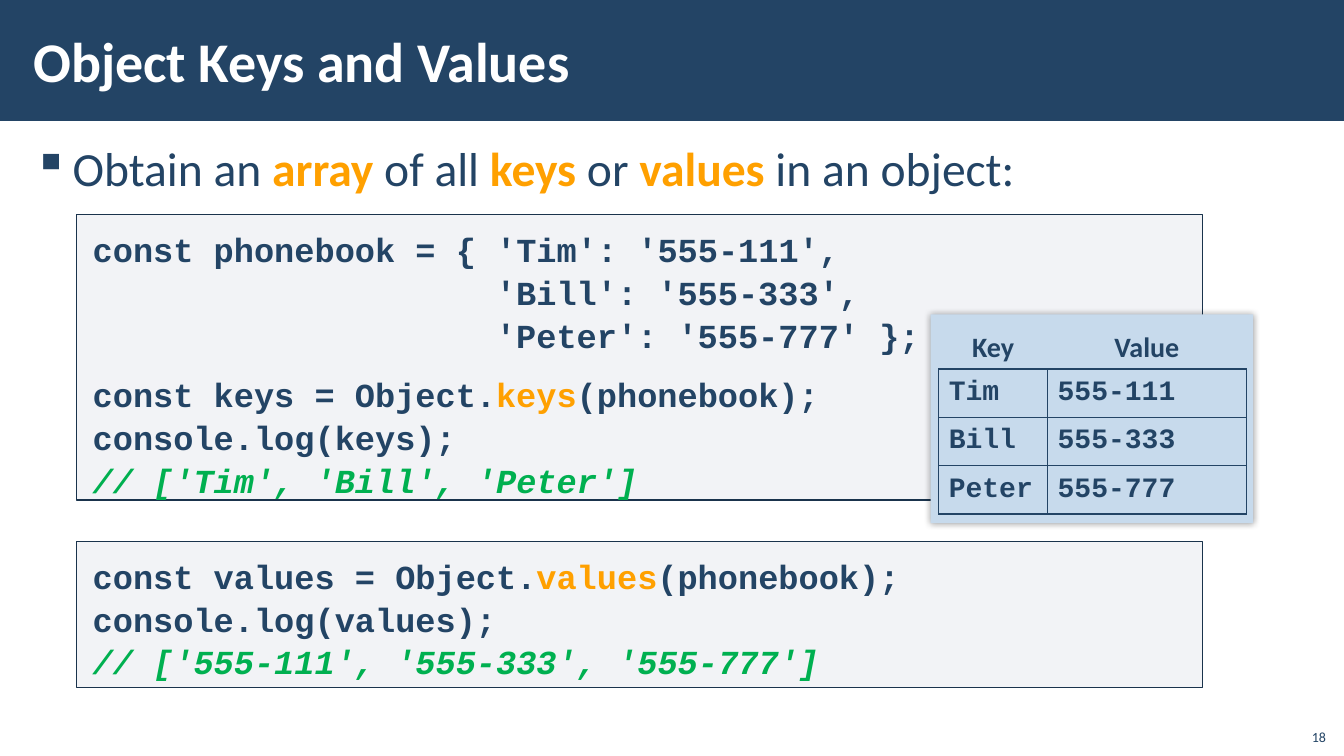
from lxml import etree
from pptx import Presentation
from pptx.dml.color import RGBColor
from pptx.enum.shapes import MSO_SHAPE
from pptx.enum.text import MSO_ANCHOR, PP_ALIGN
from pptx.oxml import parse_xml
from pptx.oxml.ns import nsdecls, qn
from pptx.util import Inches, Pt

RECTANGLE = MSO_SHAPE.RECTANGLE
TOP, MIDDLE, BOTTOM = MSO_ANCHOR.TOP, MSO_ANCHOR.MIDDLE, MSO_ANCHOR.BOTTOM
LEFT, CENTER, RIGHT = PP_ALIGN.LEFT, PP_ALIGN.CENTER, PP_ALIGN.RIGHT

NAVY = RGBColor(0x23, 0x44, 0x65)
DARK_NAVY = RGBColor(0x1A, 0x33, 0x4C)
ORANGE = RGBColor(0xFF, 0xA0, 0x00)
GREEN = RGBColor(0x00, 0xB0, 0x50)
WHITE = RGBColor(0xFF, 0xFF, 0xFF)
CODE_GRAY = RGBColor(0xAD, 0xB4, 0xC3)
PALE_BLUE = RGBColor(0xC7, 0xDA, 0xEC)

BODY_FONT, CODE_FONT = "Calibri", "Courier New"
CODE_INDENT = Inches(4)  # twenty characters of 24 pt code

PHONEBOOK = [("Tim", "555-111"), ("Bill", "555-333"), ("Peter", "555-777")]

# Each code line: indent, space before in points, runs of (text, colour)
KEYS_CODE = [
    (0, 0, [("const phonebook = { 'Tim': '555-111',", NAVY)]),
    (CODE_INDENT, 0, [("'Bill': '555-333',", NAVY)]),
    (CODE_INDENT, 0, [("'Peter': '555-777' };", NAVY)]),
    (0, 12, [("const keys = Object.", NAVY), ("keys", ORANGE),
             ("(phonebook);", NAVY)]),
    (0, 0, [("console.log(keys);", NAVY)]),
    (0, 0, [("// ['Tim', 'Bill', 'Peter']", GREEN)]),
]
VALUES_CODE = [
    (0, 0, [("const values = Object.", NAVY), ("values", ORANGE),
            ("(phonebook);", NAVY)]),
    (0, 0, [("console.log(values);", NAVY)]),
    (0, 0, [("// ['555-111', '555-333', '555-777']", GREEN)]),
]


def add_run(paragraph, text, size, color, font=BODY_FONT, bold=False, italic=False):
    run = paragraph.add_run()
    run.text = text
    run.font.name, run.font.size = font, Pt(size)
    run.font.bold, run.font.italic = bold, italic
    run.font.color.rgb = color


def set_frame(frame, anchor, side, edge):
    frame.word_wrap = True
    frame.vertical_anchor = anchor
    frame.margin_left = frame.margin_right = Inches(side)
    frame.margin_top = frame.margin_bottom = Inches(edge)


def add_text(slide, box, text, size, color, bold=False, align=LEFT,
             anchor=TOP, side=0.1, edge=0.05):
    frame = slide.shapes.add_textbox(*map(Inches, box)).text_frame
    set_frame(frame, anchor, side, edge)
    paragraph = frame.paragraphs[0]
    paragraph.alignment = align
    add_run(paragraph, text, size, color, bold=bold)


def add_panel(slide, box, fill):
    panel = slide.shapes.add_shape(RECTANGLE, *map(Inches, box))
    panel.shadow.inherit = False
    panel.fill.solid()
    panel.fill.fore_color.rgb = fill
    panel.line.fill.background()
    return panel


def add_bullet(slide, box, parts):
    frame = slide.shapes.add_textbox(*map(Inches, box)).text_frame
    set_frame(frame, TOP, 0.12, 0.04)
    paragraph = frame.paragraphs[0]
    paragraph.line_spacing = 1.05
    paragraph.space_before = paragraph.space_after = Pt(6)
    properties = paragraph._p.get_or_add_pPr()
    properties.set("marL", str(Inches(0.39)))
    properties.set("indent", str(-Inches(0.39)))
    etree.SubElement(properties, qn("a:buChar")).set("char", "▪")
    for text, color in parts:
        add_run(paragraph, text, 34, color, bold=color == ORANGE)


def add_code(slide, box, lines):
    panel = add_panel(slide, box, CODE_GRAY)
    fill_color = panel._element.spPr.find(qn("a:solidFill"))[0]
    etree.SubElement(fill_color, qn("a:alpha")).set("val", "15000")
    panel.line.color.rgb = DARK_NAVY
    panel.line.width = Pt(1)
    frame = panel.text_frame
    set_frame(frame, TOP, 0.16, 0.12)
    for number, (indent, before, parts) in enumerate(lines):
        paragraph = frame.add_paragraph() if number else frame.paragraphs[0]
        paragraph.alignment = LEFT
        paragraph.line_spacing = 1.06
        paragraph.space_before = Pt(before)
        if indent:
            paragraph._p.get_or_add_pPr().set("marL", str(indent))
        for text, color in parts:
            add_run(paragraph, text, 24, color, CODE_FONT, True, color == GREEN)


def add_shadow(panel):
    effects = panel._element.spPr.find(qn("a:effectLst"))
    effects.append(parse_xml(
        f'<a:outerShdw {nsdecls("a")} blurRad="{Pt(5)}" dist="0" dir="0">'
        '<a:srgbClr val="000000"><a:alpha val="40000"/></a:srgbClr></a:outerShdw>'))


def add_borders(cell):
    properties = cell._tc.get_or_add_tcPr()
    for position, side in enumerate(("lnL", "lnR", "lnT", "lnB")):
        properties.insert(position, parse_xml(
            f'<a:{side} {nsdecls("a")} w="{Pt(1)}"><a:solidFill>'
            f'<a:srgbClr val="{NAVY}"/></a:solidFill></a:{side}>'))


def add_phonebook(slide, left, top, widths, row_height):
    frame = slide.shapes.add_table(
        len(PHONEBOOK), len(widths), Inches(left), Inches(top),
        Inches(sum(widths)), Inches(row_height * len(PHONEBOOK)))
    table = frame.table
    table.first_row = table.horz_banding = False
    for column, width in zip(table.columns, widths):
        column.width = Inches(width)
    for row, entry in zip(table.rows, PHONEBOOK):
        row.height = Inches(row_height)
        for cell, text in zip(row.cells, entry):
            cell.fill.solid()
            cell.fill.fore_color.rgb = PALE_BLUE
            cell.vertical_anchor = MIDDLE
            add_run(cell.text_frame.paragraphs[0], text, 20, NAVY, CODE_FONT, True)
            add_borders(cell)


def main():
    deck = Presentation()
    deck.slide_width, deck.slide_height = Inches(13.33), Inches(7.5)
    slide = deck.slides.add_slide(deck.slide_layouts[6])

    # Title band and slide number
    add_panel(slide, (0, 0, 13.33, 1.2), NAVY)
    add_text(slide, (0.21, 0.11, 10.63, 0.97), "Object Keys and Values", 40,
             WHITE, bold=True, anchor=MIDDLE, side=0.12, edge=0.04)
    add_text(slide, (12.85, 7.12, 0.4, 0.32), "18", 10, NAVY,
             align=RIGHT, anchor=BOTTOM)

    # Lead sentence
    add_bullet(slide, (0.21, 1.31, 12.92, 0.8), [
        ("Obtain an ", NAVY), ("array", ORANGE), (" of all ", NAVY),
        ("keys", ORANGE), (" or ", NAVY), ("values", ORANGE),
        (" in an object:", NAVY)])

    # Code examples
    add_code(slide, (0.76, 2.13, 11.17, 2.83), KEYS_CODE)
    add_code(slide, (0.76, 5.37, 11.17, 1.45), VALUES_CODE)

    # Phonebook card
    add_shadow(add_panel(slide, (9.23, 3.12, 3.2, 2.07), PALE_BLUE))
    left, widths = 9.31, (1.08, 1.97)
    add_phonebook(slide, left, 3.66, widths, 0.48)
    for heading, width in zip(("Key", "Value"), widths):
        add_text(slide, (left, 3.22, width, 0.44), heading, 20, NAVY,
                 bold=True, align=CENTER)
        left += width

    deck.save("out.pptx")


if __name__ == "__main__":
    main()
